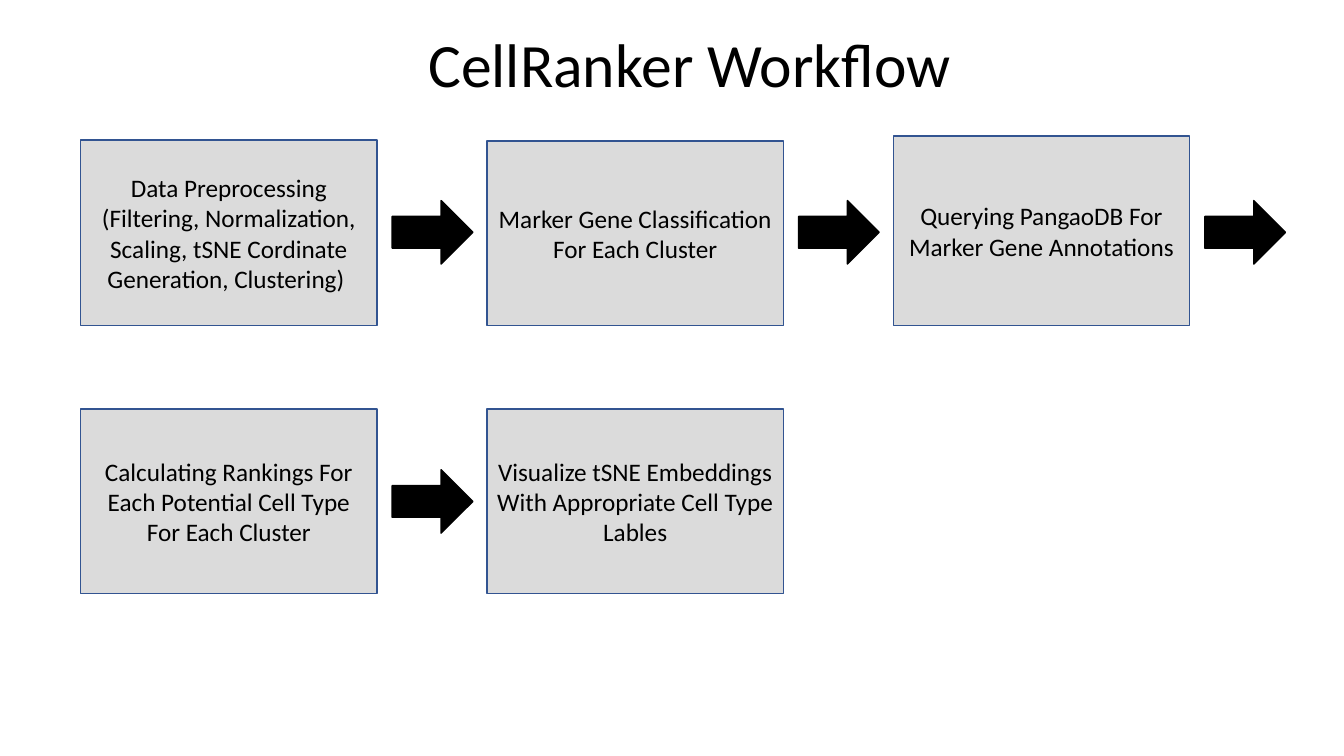
from pptx import Presentation
from pptx.dml.color import RGBColor
from pptx.enum.shapes import MSO_SHAPE as Shape
from pptx.enum.text import MSO_ANCHOR as Anchor, PP_ALIGN as Align
from pptx.util import Inches, Pt

BLACK = RGBColor(0x00, 0x00, 0x00)
GREY = RGBColor(0xDB, 0xDB, 0xDB)
BLUE = RGBColor(0x32, 0x54, 0x91)

LEFT, COLUMN_STEP = 0.8, 4.03
ROW_BOTTOMS = (3.23, 5.89)
ARROW_TOPS = (1.99, 4.66)
BOX_WIDTH = 2.94
ARROW_OFFSET, ARROW_WIDTH, ARROW_HEIGHT = 3.09, 0.8, 0.63

# row, column, box height, has an arrow after it, label
STEPS = [
    (0, 0, 1.84, True, "Data Preprocessing (Filtering, Normalization, "
                       "Scaling, tSNE Cordinate Generation, Clustering) "),
    (0, 1, 1.83, True, "Marker Gene Classification For Each Cluster"),
    (0, 2, 1.88, True, "Querying PangaoDB For Marker Gene Annotations"),
    (1, 0, 1.83, True, "Calculating Rankings For Each Potential Cell Type "
                       "For Each Cluster"),
    (1, 1, 1.83, False, "Visualize tSNE Embeddings With Appropriate "
                        "Cell Type Lables"),
]


def add_block(kind, left, top, width, height, fill, line):
    block = page.shapes.add_shape(
        kind, Inches(left), Inches(top), Inches(width), Inches(height))
    block.shadow.inherit = False
    block.fill.solid()
    block.fill.fore_color.rgb = fill
    block.line.color.rgb = line
    block.line.width = Pt(1)
    return block


def write(frame, text, size, align):
    frame.word_wrap = True
    frame.vertical_anchor = Anchor.MIDDLE
    frame.text = text
    para = frame.paragraphs[0]
    para.alignment = align
    font = para.runs[0].font
    font.name = "Calibri"
    font.size = Pt(size)
    font.color.rgb = BLACK
    return para


deck = Presentation()
deck.slide_width, deck.slide_height = Inches(13.33), Inches(7.5)
page = deck.slides.add_slide(deck.slide_layouts[6])

title = page.shapes.add_textbox(
    Inches(4.15), Inches(0), Inches(5.42), Inches(1.34))
heading = write(title.text_frame, "CellRanker Workflow", 44, Align.LEFT)
heading.line_spacing = 0.9

for row, column, height, has_arrow, label in STEPS:
    left = LEFT + column * COLUMN_STEP
    box = add_block(Shape.RECTANGLE, left, ROW_BOTTOMS[row] - height,
                    BOX_WIDTH, height, GREY, BLUE)
    write(box.text_frame, label, 18, Align.CENTER)
    if has_arrow:
        add_block(Shape.RIGHT_ARROW, left + ARROW_OFFSET, ARROW_TOPS[row],
                  ARROW_WIDTH, ARROW_HEIGHT, BLACK, BLACK)

deck.save("out.pptx")
